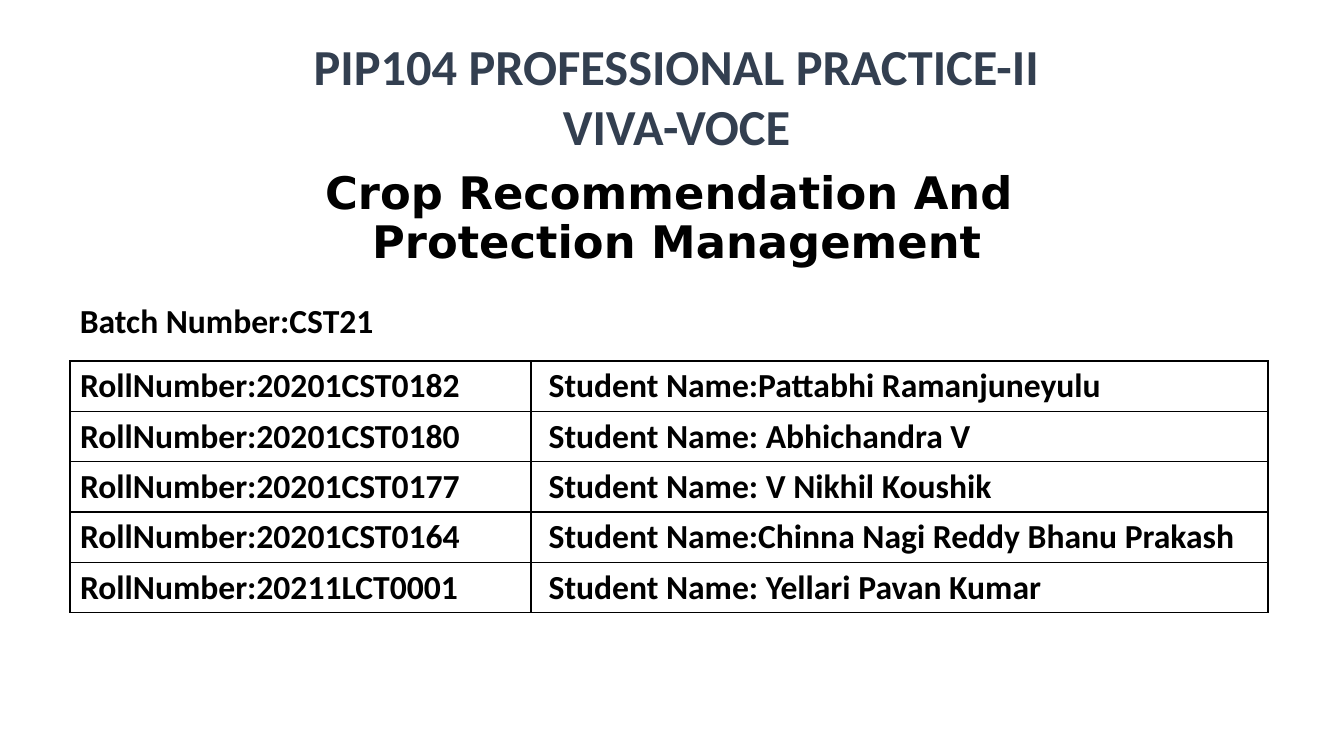
"""Builds the viva-voce opening slide with its batch member tables."""
import pptx
import pptx.util
import pptx.dml.color
import pptx.enum.text
import pptx.oxml
import pptx.oxml.ns

BLACK = pptx.dml.color.RGBColor(0x00, 0x00, 0x00)
SLATE = pptx.dml.color.RGBColor(0x33, 0x3F, 0x50)
ALIGN = pptx.enum.text.PP_ALIGN
ANCHOR = pptx.enum.text.MSO_ANCHOR

TITLE = "Crop Recommendation And \vProtection Management"
COURSE = "PIP104 PROFESSIONAL PRACTICE-II\vVIVA-VOCE"
BATCH = "Batch Number:CST21"
MEMBER_TABLES = [
    (361, [
        ("RollNumber:20201CST0182", " Student Name:Pattabhi Ramanjuneyulu"),
        ("RollNumber:20201CST0180", " Student Name: Abhichandra V"),
        ("RollNumber:20201CST0177", " Student Name: V Nikhil Koushik"),
    ]),
    (512, [
        ("RollNumber:20201CST0164", " Student Name:Chinna Nagi Reddy Bhanu Prakash"),
        ("RollNumber:20211LCT0001", " Student Name: Yellari Pavan Kumar"),
    ]),
]
TABLE_LEFT = 70
COLUMN_WIDTHS = (461, 737)
ROW_HEIGHT = 50
BODY_FONT = {"name": "Calibri", "size": pptx.util.Pt(24), "bold": True}
COURSE_FONT = {"name": "Calibri", "size": pptx.util.Pt(36), "bold": True}
TITLE_FONT = {"name": "DejaVu Sans", "size": pptx.util.Pt(32), "bold": True}


def px(length):
    return pptx.util.Emu(round(length * 914400 / 100.8))


def write(frame, text, font, color, paragraph_format):
    frame.word_wrap = True
    paragraph = frame.paragraphs[0]
    paragraph.text = text
    for name, value in paragraph_format.items():
        setattr(paragraph, name, value)
    for run in paragraph.runs:
        for name, value in font.items():
            setattr(run.font, name, value)
        run.font.color.rgb = color


def add_text(slide, box, text, font, color, paragraph_format):
    shape = slide.shapes.add_textbox(*map(px, box))
    write(shape.text_frame, text, font, color, paragraph_format)


def add_borders(cell):
    properties = cell._tc.get_or_add_tcPr()
    for index, side in enumerate(("lnL", "lnR", "lnT", "lnB")):
        properties.insert(index, pptx.oxml.parse_xml(
            f'<a:{side} {pptx.oxml.ns.nsdecls("a")} w="{pptx.util.Pt(1)}"><a:solidFill>'
            f'<a:srgbClr val="{BLACK}"/></a:solidFill></a:{side}>'))


def add_members(slide, top, members):
    box = (TABLE_LEFT, top, sum(COLUMN_WIDTHS), ROW_HEIGHT * len(members))
    table = slide.shapes.add_table(len(members), len(COLUMN_WIDTHS), *map(px, box)).table
    table.first_row = table.horz_banding = False
    for column, width in zip(table.columns, COLUMN_WIDTHS):
        column.width = px(width)
    for row, member in zip(table.rows, members):
        row.height = px(ROW_HEIGHT)
        for cell, text in zip(row.cells, member):
            write(cell.text_frame, text, BODY_FONT, BLACK, {"alignment": ALIGN.JUSTIFY})
            cell.vertical_anchor = ANCHOR.MIDDLE
            cell.fill.background()
            add_borders(cell)


def main():
    presentation = pptx.Presentation()
    presentation.slide_width, presentation.slide_height = px(1344), px(756)
    slide = presentation.slides.add_slide(presentation.slide_layouts[5])
    title = slide.shapes.title
    for name, length in {"left": 106, "top": 164, "width": 1142, "height": 109}.items():
        setattr(title, name, px(length))
    title.text_frame.vertical_anchor = ANCHOR.BOTTOM
    write(title.text_frame, TITLE, TITLE_FONT, BLACK,
          {"alignment": ALIGN.CENTER, "line_spacing": 0.9})
    add_text(slide, (TABLE_LEFT, 300, 437, 60), BATCH, BODY_FONT, BLACK,
             {"line_spacing": 0.9, "space_before": pptx.util.Pt(10)})
    add_text(slide, (87, 30, 1179, 120), COURSE, COURSE_FONT, SLATE,
             {"alignment": ALIGN.CENTER})
    for top, members in MEMBER_TABLES:
        add_members(slide, top, members)
    presentation.save("out.pptx")


if __name__ == "__main__":
    main()
